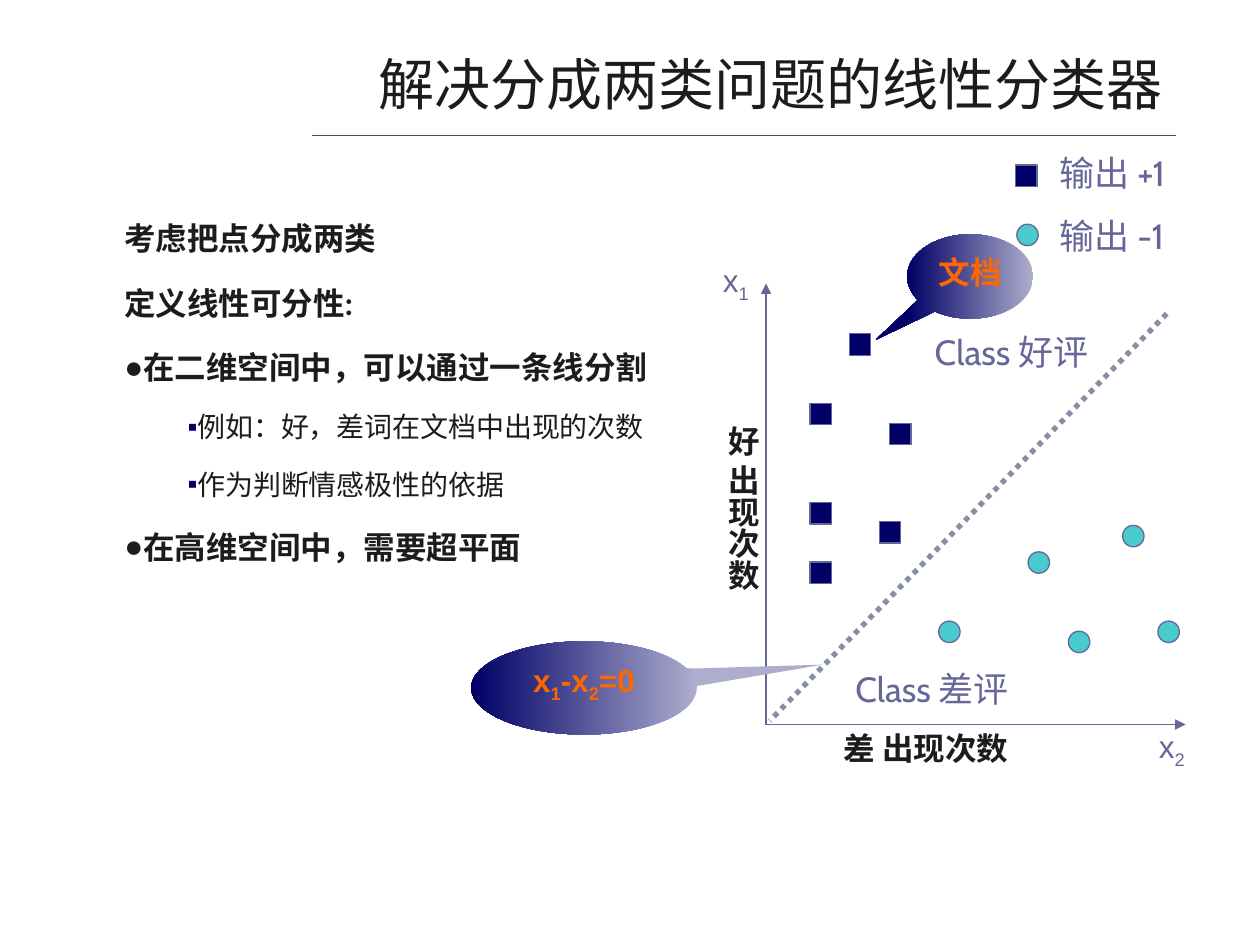
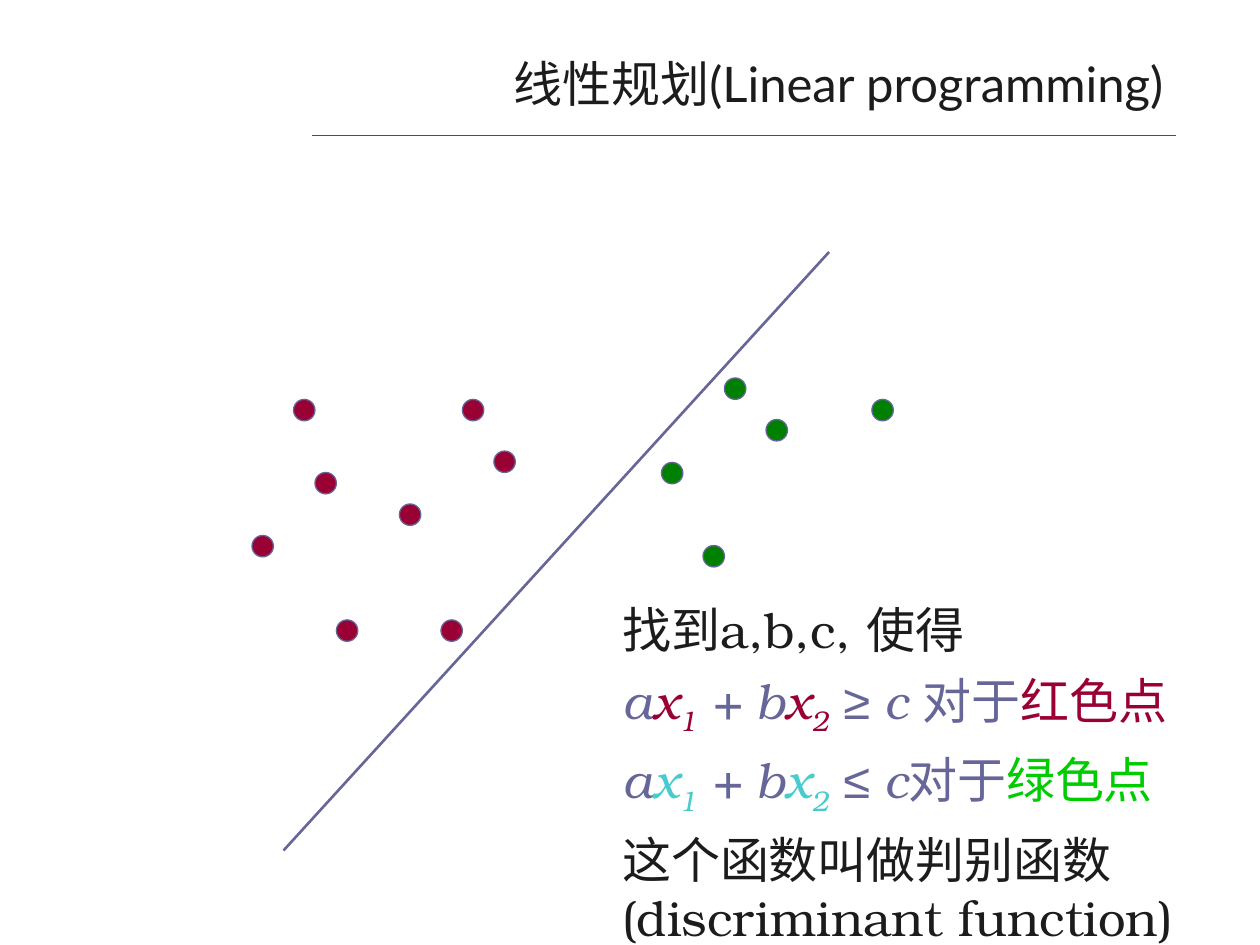
from typing import NamedTuple, Optional

import lxml.etree
import pptx
import pptx.dml.color
import pptx.enum.dml
import pptx.enum.shapes
import pptx.enum.text
import pptx.oxml.ns
import pptx.util

RGB = pptx.dml.color.RGBColor
SHAPE = pptx.enum.shapes.MSO_SHAPE
ALIGN = pptx.enum.text.PP_ALIGN
ANCHOR = pptx.enum.text.MSO_ANCHOR
DASH = pptx.enum.dml.MSO_LINE

INK = RGB(0x1C, 0x1C, 0x1C)
GRAY = RGB(0x4D, 0x4D, 0x4D)
SLATE = RGB(0x66, 0x66, 0x99)
NAVY = RGB(0x00, 0x00, 0x66)
LILAC = RGB(0xAD, 0xAD, 0xCD)
TEAL = RGB(0x49, 0xCA, 0xCD)
STEEL = RGB(0x87, 0x8F, 0xA5)
ORANGE = RGB(0xFF, 0x66, 0x00)
RED = RGB(0x99, 0x00, 0x33)
GREEN = RGB(0x00, 0x80, 0x00)
LIME = RGB(0x00, 0xCC, 0x00)

PX = 9144  # one px is a hundredth of an inch
DOT = 17


class Run(NamedTuple):
    text: str
    hue: Optional[RGB] = None
    sub: bool = False
    italic: Optional[bool] = None
    font: Optional[str] = None


class Bullet(NamedTuple):
    sign: str
    hue: RGB


class Para(NamedTuple):
    runs: list[Run]
    size: int
    font: str
    hue: RGB = INK
    bold: bool = False
    align: ALIGN = ALIGN.LEFT
    before: float = 0
    lead: Optional[float] = None
    left: int = 0
    indent: int = 0
    bullet: Optional[Bullet] = None


class Box(NamedTuple):
    x: int
    y: int
    w: int
    h: int


class Group(NamedTuple):
    """Data points that share one shape and colour."""
    kind: SHAPE
    hue: RGB
    spots: list[tuple[int, int]]


class Line(NamedTuple):
    start: tuple[int, int]
    end: tuple[int, int]
    hue: RGB
    width: float
    arrow: bool = False
    dash: Optional[DASH] = None


class Callout(NamedTuple):
    box: Box
    tip: tuple[float, float]
    runs: list[Run]


class Label(NamedTuple):
    box: Box
    para: Para
    upright: bool = False


def emu(*lengths: int) -> list[int]:
    return [pptx.util.Emu(length * PX) for length in lengths]


def add(parent, tag: str, **attrs: str):
    node = lxml.etree.SubElement(parent, pptx.oxml.ns.qn(tag))
    for key, value in attrs.items():
        node.set(key, value)
    return node


def write(par, spec: Para) -> None:
    props = par._p.get_or_add_pPr()
    props.set("marL", str(spec.left * PX))
    props.set("indent", str(spec.indent * PX))
    if spec.bullet:
        add(add(props, "a:buClr"), "a:srgbClr", val=str(spec.bullet.hue))
        add(props, "a:buFont", typeface="Arial")
        add(props, "a:buChar", char=spec.bullet.sign)
    par.alignment = spec.align
    if spec.before:
        par.space_before = pptx.util.Pt(spec.before)
    if spec.lead:
        par.line_spacing = spec.lead
    par.font.name = spec.font
    par.font.size = pptx.util.Pt(spec.size)
    par.font.bold = spec.bold
    par.font.color.rgb = spec.hue
    for item in spec.runs:
        run = par.add_run()
        run.text = item.text
        if item.hue is not None:
            run.font.color.rgb = item.hue
        if item.italic is not None:
            run.font.italic = item.italic
        if item.font:
            run.font.name = item.font
        if item.sub:
            run._r.get_or_add_rPr().set("baseline", "-25000")


def fill(frame, paras: list[Para]) -> None:
    for index, spec in enumerate(paras):
        if index:
            write(frame.add_paragraph(), spec)
        else:
            write(frame.paragraphs[0], spec._replace(before=0))


def draw_text(slide, box: Box, paras: list[Para]):
    frame = slide.shapes.add_textbox(*emu(*box)).text_frame
    frame.word_wrap = True
    fill(frame, paras)
    return frame


def draw_label(slide, label: Label) -> None:
    """Draw one unwrapped line of text that its box fits."""
    frame = draw_text(slide, label.box, [label.para])
    frame.word_wrap = False
    frame.auto_size = pptx.enum.text.MSO_AUTO_SIZE.SHAPE_TO_FIT_TEXT
    if label.upright:
        frame._txBody.bodyPr.set("vert", "eaVert")
        frame.margin_left, frame.margin_right = emu(5, 5)
        frame.margin_top, frame.margin_bottom = emu(10, 10)


def draw_group(slide, group: Group) -> None:
    for x, y in group.spots:
        mark = slide.shapes.add_shape(group.kind, *emu(x, y, DOT, DOT))
        mark.shadow.inherit = False
        mark.fill.solid()
        mark.fill.fore_color.rgb = group.hue
        mark.line.color.rgb = SLATE
        mark.line.width = pptx.util.Pt(0.75)


def draw_line(slide, spec: Line) -> None:
    link = slide.shapes.add_connector(
        pptx.enum.shapes.MSO_CONNECTOR.STRAIGHT, *emu(*spec.start, *spec.end))
    link.line.color.rgb = spec.hue
    link.line.width = pptx.util.Pt(spec.width)
    if spec.dash:
        link.line.dash_style = spec.dash
    if spec.arrow:
        add(link.line._get_or_add_ln(), "a:tailEnd", type="triangle")
    add(link._element.spPr, "a:effectLst")


def draw_callout(slide, spec: Callout) -> None:
    shape = slide.shapes.add_shape(SHAPE.OVAL_CALLOUT, *emu(*spec.box))
    shape.shadow.inherit = False
    for index, value in enumerate(spec.tip):
        shape.adjustments[index] = value
    shape.fill.gradient()
    shape.fill.gradient_angle = 180
    for stop, hue in zip(shape.fill.gradient_stops, (LILAC, NAVY)):
        stop.color.rgb = hue
    shape.line.fill.background()
    frame = shape.text_frame
    frame.word_wrap = True
    frame.vertical_anchor = ANCHOR.TOP
    fill(frame, [Para(spec.runs, 18, "Arial", ORANGE, True, ALIGN.CENTER)])


def new_slide(deck, title: str, size: int):
    """Add a blank slide with the shared rule and title."""
    slide = deck.slides.add_slide(deck.slide_layouts[6])
    draw_line(slide, Line((248, 107), (933, 107), GRAY, 0.25))
    para = Para([Run(title)], size, "Lato", align=ALIGN.RIGHT)
    frame = draw_text(slide, Box(69, 35, 864, 62), [para])
    frame.vertical_anchor = ANCHOR.MIDDLE
    return slide


def head(text: str, bullet: Optional[Bullet] = None) -> Para:
    return Para([Run(text)], 18, "Lato", bold=True, before=4.5, lead=1.5,
                left=38, indent=1, bullet=bullet)


def point(text: str) -> Para:
    return Para([Run(text)], 16, "Lato", before=4, lead=1.5, left=90,
                indent=-1, bullet=Bullet("▪", NAVY))


def legend(text: str) -> Para:
    return Para([Run(text)], 20, "Cabin", SLATE, before=12.5)


def region(text: str) -> Para:
    return Para([Run(text)], 20, "Cabin", SLATE)


def count(text: str) -> Para:
    return Para([Run(text)], 18, "Arial", bold=True, align=ALIGN.CENTER)


def axis(index: str) -> Para:
    return Para([Run("x"), Run(index, sub=True)], 18, "Arial", SLATE,
                align=ALIGN.CENTER)


def claim(*runs: Run) -> Para:
    return Para(list(runs), 28, "TeX Gyre Bonum", before=7)


def bound(sign: str, hue: RGB, end: str, name: str, tint: RGB) -> Para:
    """Build the inequality that holds for one colour of points."""
    return claim(
        Run("a", SLATE, italic=True), Run("x", hue, italic=True),
        Run("1", hue, True, True), Run(" + b", SLATE, italic=True),
        Run("x", hue, italic=True), Run("2", hue, True, True),
        Run(" ", SLATE, italic=True),
        Run(sign, SLATE, italic=True, font="Arial"),
        Run(end, SLATE, italic=True), Run("对于", SLATE), Run(name, tint))


def draw_classes(deck) -> None:
    slide = new_slide(deck, "解决分成两类问题的线性分类器", 32)
    disc = Bullet("●", INK)
    draw_text(slide, Box(50, 154, 900, 557), [
        head("考虑把点分成两类"),
        head("定义线性可分性:"),
        head("在二维空间中，可以通过一条线分割", disc),
        point("例如：好，差词在文档中出现的次数"),
        point("作为判断情感极性的依据"),
        head("在高维空间中，需要超平面", disc)])
    origin = (608, 575)
    for end in ((608, 225), (941, 575)):
        draw_line(slide, Line(origin, end, SLATE, 1, arrow=True))
    for group in (
            Group(SHAPE.OVAL, TEAL, [(816, 438), (848, 501), (919, 493),
                                     (745, 493), (891, 417), (807, 178)]),
            Group(SHAPE.RECTANGLE, NAVY, [
                (643, 320), (643, 446), (698, 414), (706, 336),
                (643, 399), (674, 265), (806, 131)])):
        draw_group(slide, group)
    draw_line(slide, Line((926, 249), (611, 572), STEEL, 3,
                          dash=DASH.ROUND_DOT))
    for label in (
            Label(Box(669, 525, 156, 44), region("Class 差评")),
            Label(Box(732, 257, 156, 44), region("Class 好评")),
            Label(Box(560, 328, 50, 141), count("好 出现次数"), True),
            Label(Box(635, 574, 200, 40), count("差 出现次数")),
            Label(Box(549, 202, 70, 44), axis("1")),
            Label(Box(895, 572, 70, 44), axis("2"))):
        draw_label(slide, label)
    draw_text(slide, Box(831, 115, 153, 94),
              [legend("输出 +1"), legend("输出 -1")])
    for callout in (
            Callout(Box(374, 509, 179, 74), (1.06, -0.25), [
                Run("x"), Run("1", sub=True), Run("-x"),
                Run("2", sub=True), Run("=0")]),
            Callout(Box(720, 186, 100, 67), (-0.75, 0.75), [Run("文档")])):
        draw_callout(slide, callout)


def draw_program(deck) -> None:
    slide = new_slide(deck, "线性规划(Linear programming)", 28)
    for group in (
            Group(SHAPE.OVAL, RED, [
                (233, 317), (250, 375), (267, 492), (367, 317),
                (200, 425), (317, 400), (392, 358), (350, 492)]),
            Group(SHAPE.OVAL, GREEN, [(525, 367), (558, 433), (575, 300),
                                      (692, 317), (608, 333)])):
        draw_group(slide, group)
    draw_text(slide, Box(484, 471, 470, 285), [
        claim(Run("找到a,b,c, 使得")),
        bound("≥", RED, " c ", "红色点", RED),
        bound("≤", TEAL, " c", "绿色点", LIME),
        claim(Run("这个函数叫做判别函数(discriminant function)"))])
    draw_line(slide, Line((225, 675), (658, 200), SLATE, 1.5))


def main() -> None:
    deck = pptx.Presentation()
    deck.slide_width, deck.slide_height = emu(1000, 750)
    draw_classes(deck)
    draw_program(deck)
    deck.save("out.pptx")


if __name__ == "__main__":
    main()
